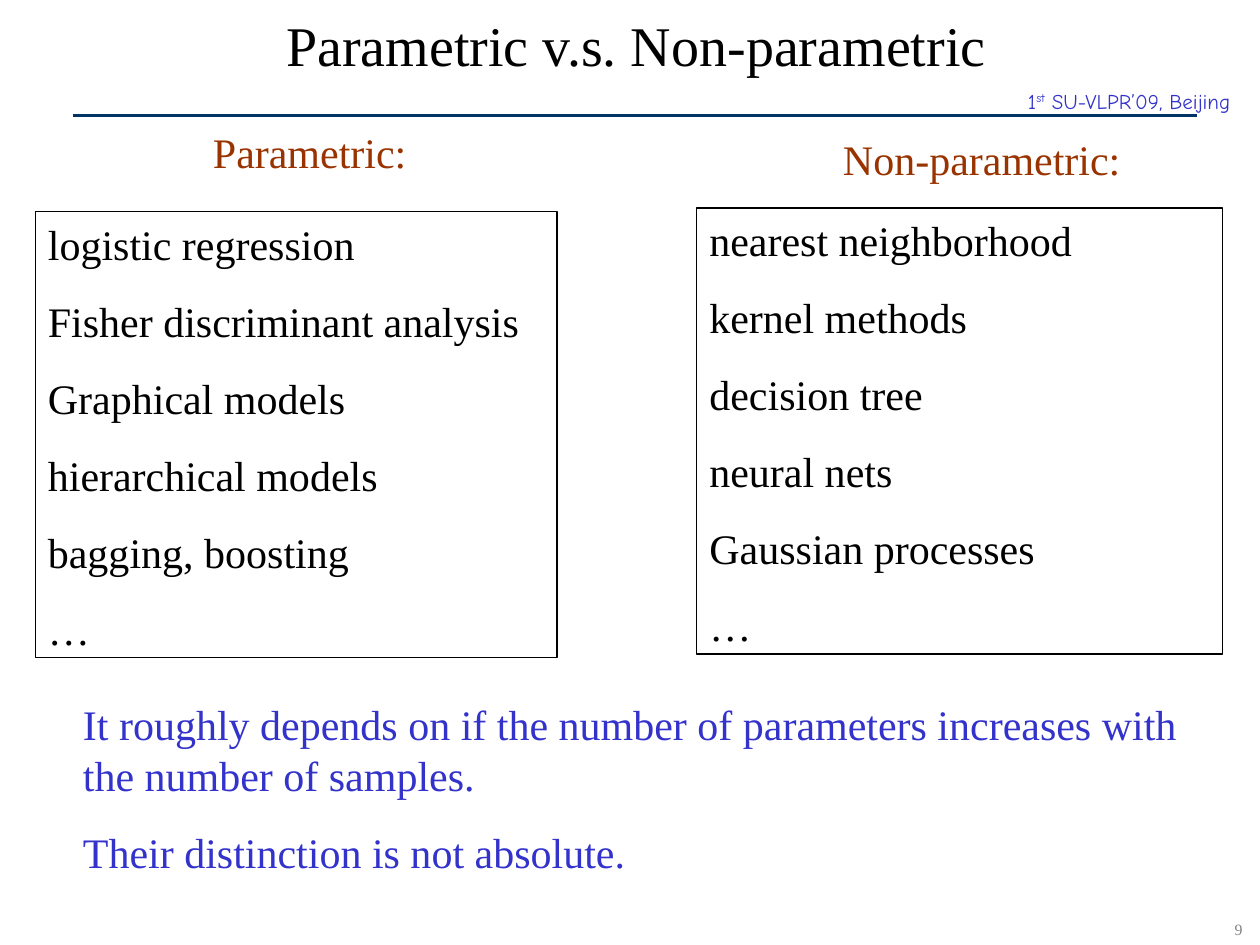
from pptx import Presentation
from pptx.dml.color import RGBColor as RGB
from pptx.enum.text import MSO_ANCHOR as Anchor, MSO_AUTO_SIZE as Fit, PP_ALIGN as Align
from pptx.oxml.ns import qn
from pptx.util import Inches, Pt
from lxml.etree import SubElement

BLACK, NAVY = RGB(0, 0, 0), RGB(0, 0x33, 0x66)
BLUE, RUST = RGB(0x33, 0x33, 0xCC), RGB(0x99, 0x33, 0)
GREY = RGB(0x80, 0x80, 0x80)
SERIF, COMIC = "Times New Roman", "Comic Neue"

# The slide is a grid of 100 columns by 75 rows
WIDE, HIGH = Inches(10), Inches(7.5)
COL, ROW = WIDE / 100, HIGH / 75

LISTS = (
    ("Parametric:",
     ["logistic regression", "Fisher discriminant analysis", "Graphical models",
      "hierarchical models", "bagging, boosting", "…"]),
    ("Non-parametric:",
     ["nearest neighborhood", "kernel methods", "decision tree", "neural nets",
      "Gaussian processes", "…"]),
)
NOTES = ["It roughly depends on if the number of parameters increases with "
         "the number of samples.",
         "Their distinction is not absolute."]


def apply(item, values):
    for name, value in values.items():
        setattr(item, name, value)


def place(shape, box):
    x, y, w, h = box
    apply(shape, dict(left=round(x * COL), top=round(y * ROW),
                      width=round(w * COL), height=round(h * ROW)))
    return shape


def new_box(slide, box):
    return place(slide.shapes.add_textbox(0, 0, 0, 0), box)


def write(shape, lines, size, color, font=SERIF, align=Align.LEFT,
          lead=None, pad=(0.1, 0.05), wrap=True):
    """Fill a shape with plain paragraphs of one style."""
    frame = shape.text_frame
    side, edge = map(Inches, pad)
    apply(frame, dict(word_wrap=wrap, auto_size=Fit.NONE,
                      vertical_anchor=Anchor.TOP,
                      margin_left=side, margin_right=side,
                      margin_top=edge, margin_bottom=edge))
    frame.text = "\n".join(lines)
    for i, para in enumerate(frame.paragraphs):
        props = para._p.get_or_add_pPr()
        props.set("marL", "0")
        props.set("indent", "0")
        SubElement(props, qn("a:buNone"))
        apply(para, dict(alignment=align, space_before=Pt(15 if i else 0)))
        if lead:
            para.line_spacing = Pt(lead)
        for run in para.runs:
            apply(run.font, dict(name=font, size=Pt(size), bold=False))
            run.font.color.rgb = color
    return frame


def header(slide, box):
    """Title, rule and event mark."""
    x, y, w, h = box
    title = place(slide.shapes.title, box)
    write(title, ["Parametric v.s. Non-parametric"], 32, BLACK,
          align=Align.CENTER, lead=41)

    base = round((y + h) * ROW)
    rule = slide.shapes.add_connector(1, round(x * COL), base,
                                      round((x + w - 0.2) * COL), base)
    rule.line.color.rgb = NAVY
    rule.line.width = Pt(1.75)
    SubElement(rule._element.spPr, qn("a:effectLst"))

    mark = new_box(slide, (x + 74.8, y + 6.5, 20.8, 3))
    para = write(mark, ["1"], 12, BLUE, COMIC).paragraphs[0]
    for text, lift in (("st", "30000"), (" SU-VLPR’09, Beijing", "0")):
        run = para.add_run()
        run.text = text
        apply(run.font, dict(name=COMIC, size=Pt(12)))
        run.font.color.rgb = BLUE
        run._r.get_or_add_rPr().set("baseline", lift)


def column(head, body, words, spot, box):
    """Heading above a framed list."""
    name, items = words
    x, y, w, h = box
    dx, dy, wide = spot
    write(place(head, (x + dx, y + dy, wide, 4)), [name], 24, RUST,
          lead=29, pad=(0, 0))
    write(place(body, box), items, 24, BLACK, lead=29)
    body.line.color.rgb = BLACK
    body.line.width = Pt(0.75)


def footer(slide, box):
    """Closing remarks and page number."""
    x, y, w, h = box
    write(new_box(slide, box), NOTES, 24, BLUE, lead=29)
    write(new_box(slide, (x + 89.1, y + 17.6, 7.2, 2.5)), ["9"], 9, GREY,
          align=Align.CENTER, wrap=False)


def main():
    deck = Presentation()
    apply(deck, dict(slide_width=WIDE, slide_height=HIGH))
    slide = deck.slides.add_slide(deck.slide_layouts.get_by_name("Comparison"))
    title, head_a, body_a, head_b, body_b = slide.placeholders

    header(slide, (5.8, 0, 89.4, 9.2))
    column(head_a, body_a, LISTS[0], (14.1, -6.8, 22.5), (2.8, 16.8, 41.4, 35.4))
    column(head_b, body_b, LISTS[1], (11.6, -5.9, 25.8), (55.3, 16.5, 41.7, 35.4))
    footer(slide, (5.6, 54.9, 89.2, 15.1))
    deck.save("out.pptx")


if __name__ == "__main__":
    main()
